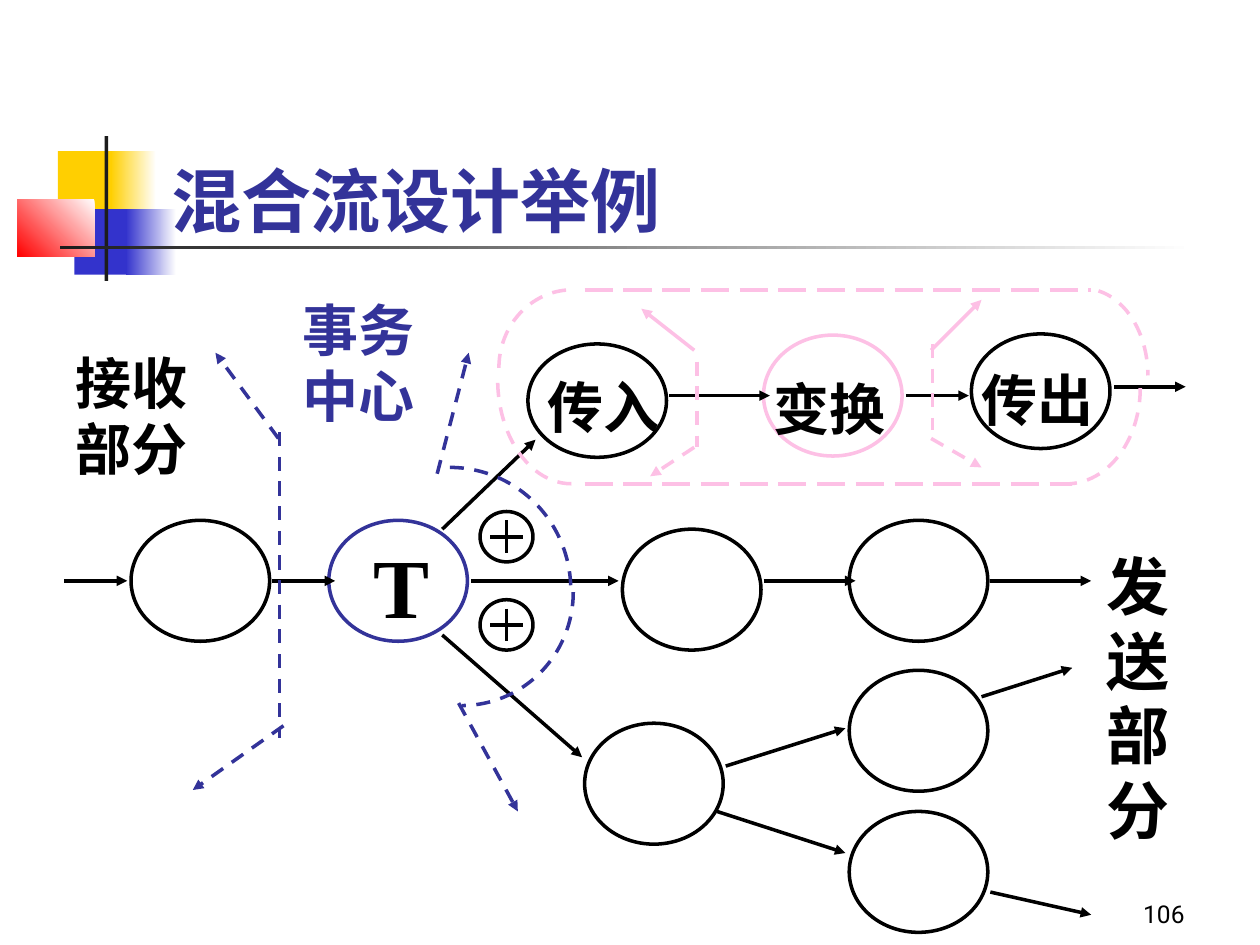
from lxml import etree
from pptx import Presentation
from pptx.dml.color import RGBColor
from pptx.enum.dml import MSO_LINE
from pptx.enum.shapes import MSO_CONNECTOR, MSO_SHAPE
from pptx.enum.text import MSO_ANCHOR, PP_ALIGN
from pptx.oxml.ns import qn
from pptx.util import Cm, Pt

THEME = {
    "black": "000000", "white": "FFFFFF", "blue": "333399", "pink": "FDC0E5",
    "yellow": "FFCF01", "royal": "3333CC", "red": "FF0000", "ink": "1C1C1C",
    "cjk": "Noto Sans CJK SC", "serif": "Times New Roman", "sans": "Roboto",
    "title": 40, "label": 32, "large": 36, "centre": 48, "number": 14,
    "line": 2, "leading": 1.19,
}
MODULE = 2.54  # layout module in centimetres; all positions count modules

TITLE = "混合流设计举例"
# box, colour, angle of the fade to white (None for a solid fill)
DECORATION = [
    ((0.46, 1.2, 0.48, 0.52), "yellow", None),
    ((0.88, 1.2, 0.36, 0.52), "yellow", 180),
    ((0.59, 1.66, 0.46, 0.52), "royal", None),
    ((1, 1.66, 0.4, 0.52), "royal", 180),
    ((0.14, 1.58, 0.61, 0.46), "red", 45),
    ((0.83, 1.08, 0.03, 1.15), "ink", None),
    ((0.48, 1.95, 9, 0.03), "ink", 180),
]
# left, top, height, outline
NODE_WIDTH = 1.1
NODES = [
    (1.04, 4.13, 0.96, "black"), (2.61, 4.13, 0.96, "blue"),
    (4.19, 2.73, 0.9, "black"), (6.06, 2.66, 0.96, "pink"),
    (7.71, 2.65, 0.91, "black"), (4.94, 4.2, 0.96, "black"),
    (6.74, 4.13, 0.96, "black"), (4.64, 5.74, 0.96, "black"),
    (6.74, 5.32, 0.96, "black"), (6.74, 6.44, 0.96, "black"),
]
# start x, start y, end x, end y
FLOWS = [
    (0.51, 4.61, 1.01, 4.61), (2.16, 4.61, 2.66, 4.61),
    (3.74, 4.61, 4.91, 4.61), (6.06, 4.61, 6.79, 4.61),
    (7.86, 4.61, 8.66, 4.61), (5.76, 6.08, 6.71, 5.78),
    (5.69, 6.44, 6.71, 6.77), (7.86, 7.08, 8.66, 7.26),
    (7.79, 5.53, 8.51, 5.3), (3.51, 5.04, 4.62, 6.01),
    (3.51, 4.2, 4.25, 3.49), (5.31, 3.14, 6.11, 3.14),
    (7.19, 3.14, 7.69, 3.14), (8.84, 3.07, 9.41, 3.07),
]
# colour, dash, arrow at the end, lines
BOUNDARIES = [
    ("blue", MSO_LINE.DASH, False, [(2.22, 3.43, 2.22, 5.86)]),
    ("blue", MSO_LINE.DASH, True, [
        (2.21, 3.48, 1.71, 2.8), (2.25, 5.76, 1.53, 6.27),
        (3.64, 5.58, 4.11, 6.44), (3.47, 3.76, 3.72, 2.8)]),
    ("pink", MSO_LINE.LONG_DASH, False, [
        (4.64, 2.3, 8.66, 2.3), (4.64, 3.84, 8.51, 3.84)]),
    ("pink", MSO_LINE.DASH, False, [
        (5.53, 2.87, 5.53, 3.55), (7.4, 2.73, 7.4, 3.41)]),
    ("pink", None, True, [(5.51, 2.78, 5.09, 2.45), (7.39, 2.78, 7.79, 2.38)]),
    ("pink", MSO_LINE.DASH, True, [
        (5.51, 3.55, 5.16, 3.78), (7.39, 3.48, 7.79, 3.71)]),
]
# box of the whole ellipse, start and end angle (clockwise from the right), colour
ARCS = [
    ((2.61, 3.71, 1.92, 1.94), -90, 0, "blue"),
    ((2.78, 3.8, 1.77, 1.8), 0, 90, "blue"),
    ((8.09, 2.29, 1.02, 1.38), -80, 0, "pink"),
    ((7.88, 2.32, 1.17, 1.52), 0, 88, "pink"),
    ((3.96, 2.3, 1.17, 1.24), 180, -90, "pink"),
    ((3.95, 2.18, 1.17, 1.66), 90, 180, "pink"),
]
# box, paragraphs, size, colour
LABELS = [
    ((2.3, 2.25, 1.5, 1.16), ["事务", "中心"], "label", "blue"),
    ((4.25, 2.86, 1.14, 0.63), ["传入"], "label", "black"),
    ((6.04, 2.88, 1.14, 0.63), ["变换"], "label", "black"),
    ((7.69, 2.81, 1.14, 0.63), ["传出"], "label", "black"),
    ((0.5, 2.67, 1.5, 1.16), ["接收部分"], "label", "black"),
    ((8.68, 4.25, 0.82, 2.5), ["发送", "部", "分"], "large", "black"),
]
PLUS_CENTRES = [(4.02, 4.26), (4.02, 4.96)]
PLUS_SIZE, PLUS_ARM = (0.42, 0.4), 0.13


def lengths(values):
    return [Cm(value * MODULE) for value in values]


def color(name):
    return RGBColor.from_string(THEME[name])


def style_line(line, color_name, dash=None):
    line.color.rgb = color(color_name)
    line.width = Pt(THEME["line"])
    if dash is not None:
        line.dash_style = dash


def add_decoration(slide, box, color_name, angle):
    shape = slide.shapes.add_shape(MSO_SHAPE.RECTANGLE, *lengths(box))
    shape.shadow.inherit = False
    shape.line.fill.background()
    if angle is None:
        shape.fill.solid()
        shape.fill.fore_color.rgb = color(color_name)
        return
    shape.fill.gradient()
    shape.fill.gradient_angle = 180 + angle if angle != 180 else 180
    for stop, name in zip(shape.fill.gradient_stops, ("white", color_name)):
        stop.color.rgb = color(name)


def add_ellipse(slide, box, color_name):
    shape = slide.shapes.add_shape(MSO_SHAPE.OVAL, *lengths(box))
    shape.shadow.inherit = False
    shape.fill.solid()
    shape.fill.fore_color.rgb = color("white")
    style_line(shape.line, color_name)


def add_arc(slide, box, start, end, color_name):
    shape = slide.shapes.add_shape(MSO_SHAPE.ARC, *lengths(box))
    shape.shadow.inherit = False
    shape.fill.background()
    for index, angle in enumerate((start, end)):
        shape.adjustments[index] = angle % 360 * 0.6
    style_line(shape.line, color_name, MSO_LINE.DASH)


def add_line(slide, ends, color_name, dash=None, arrow=False):
    connector = slide.shapes.add_connector(MSO_CONNECTOR.STRAIGHT, *lengths(ends))
    style_line(connector.line, color_name, dash)
    if arrow:
        line_element = connector.line._get_or_add_ln()
        etree.SubElement(line_element, qn("a:tailEnd"), type="triangle")
    etree.SubElement(connector.element.spPr, qn("a:effectLst"))


def write(frame, texts, size, color_name, font="cjk", bold=True):
    is_cjk = font == "cjk"
    frame.margin_left = frame.margin_right = Cm(0.25)
    # The extra top margin centres the ideographs in their fixed line height
    frame.margin_top, frame.margin_bottom = (Cm(0.25), Cm(0)) if is_cjk else (Cm(0.13), Cm(0.13))
    for index, text in enumerate(texts):
        paragraph = frame.add_paragraph() if index else frame.paragraphs[0]
        paragraph.alignment = PP_ALIGN.LEFT
        if is_cjk:
            paragraph.line_spacing = Pt(round(THEME[size] * THEME["leading"], 1))
        run = paragraph.add_run()
        run.text = text
        run.font.name = THEME[font]
        run.font.size = Pt(THEME[size])
        run.font.bold = bold
        run.font.color.rgb = color(color_name)
        if is_cjk:
            latin = run.font._element.find(qn("a:latin"))
            latin.addnext(latin.makeelement(qn("a:ea"), {"typeface": THEME[font]}))


def add_label(slide, box, texts, size, color_name, font="cjk", bold=True, wrap=True):
    frame = slide.shapes.add_textbox(*lengths(box)).text_frame
    frame.word_wrap = wrap
    write(frame, texts, size, color_name, font, bold)
    return frame


def add_plus(slide, x, y):
    width, height = PLUS_SIZE
    add_ellipse(slide, (x - width / 2, y - height / 2, width, height), "black")
    add_line(slide, (x - PLUS_ARM, y, x + PLUS_ARM, y), "black")
    add_line(slide, (x, y - PLUS_ARM, x, y + PLUS_ARM), "black")


def main():
    presentation = Presentation()
    presentation.slide_width, presentation.slide_height = Cm(25.4), Cm(19.05)
    slide = presentation.slides.add_slide(presentation.slide_layouts[5])
    for decoration in DECORATION:
        add_decoration(slide, *decoration)

    title = slide.shapes.title
    title.left, title.top, title.width, title.height = lengths((1.26, 0.67, 8.52, 1.25))
    title.text_frame.vertical_anchor = MSO_ANCHOR.BOTTOM
    write(title.text_frame, [TITLE], "title", "blue")
    title.element.getparent().append(title.element)  # in front of the decoration

    for left, top, height, outline in NODES:
        add_ellipse(slide, (left, top, NODE_WIDTH, height), outline)
    for ends in FLOWS:
        add_line(slide, ends, "black", arrow=True)
    add_label(slide, (2.87, 4.19, 0.64, 0.9), ["T"], "centre", "black", "serif", wrap=False)
    for label in LABELS:
        add_label(slide, *label)
    for color_name, dash, arrow, lines in BOUNDARIES:
        for ends in lines:
            add_line(slide, ends, color_name, dash, arrow)
    for arc in ARCS:
        add_arc(slide, *arc)
    for centre in PLUS_CENTRES:
        add_plus(slide, *centre)

    number = add_label(slide, (7.42, 6.92, 2.08, 0.5), ["106"], "number", "black", "sans", False)
    number.vertical_anchor = MSO_ANCHOR.BOTTOM
    number.paragraphs[0].alignment = PP_ALIGN.RIGHT
    presentation.save("out.pptx")


if __name__ == "__main__":
    main()
